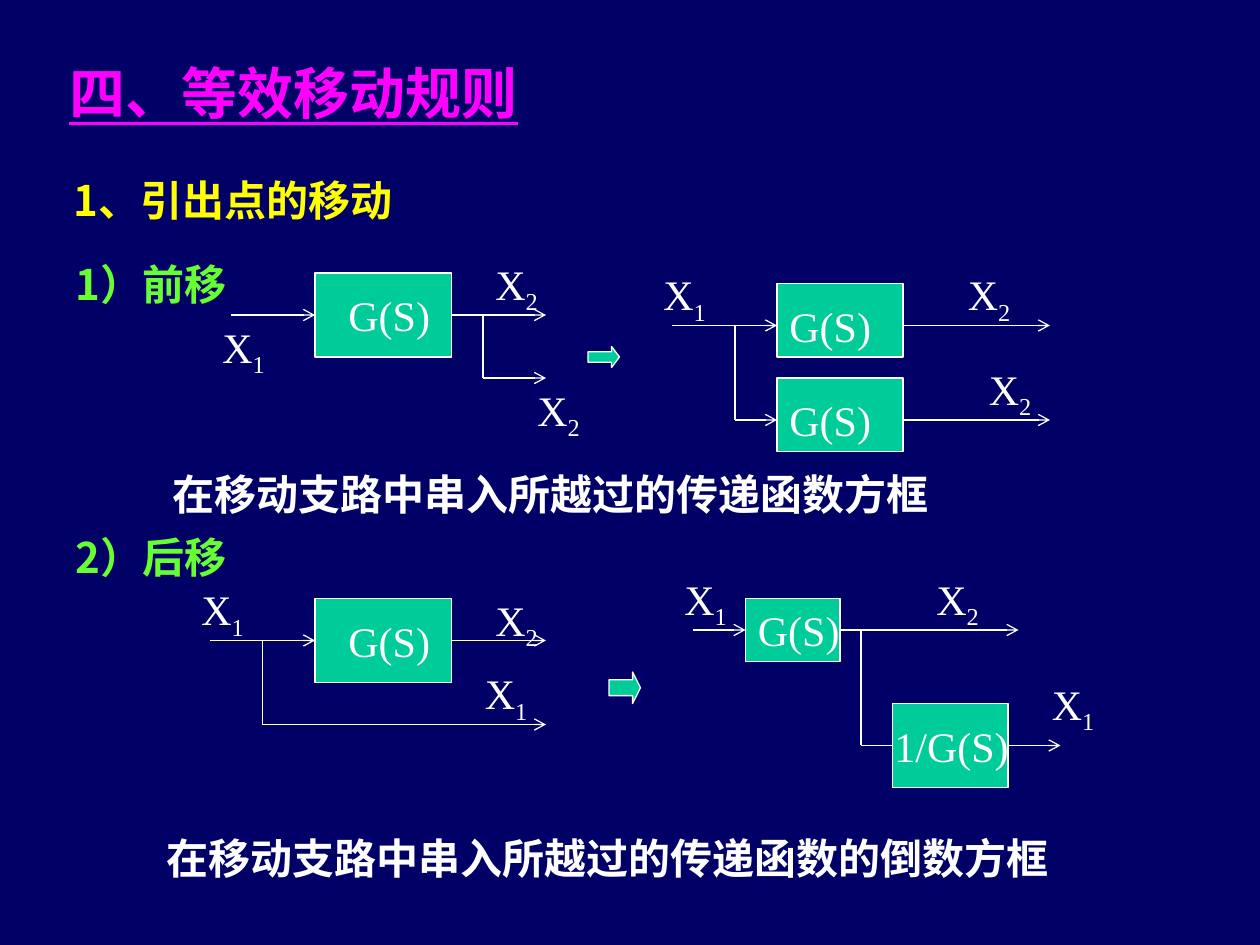
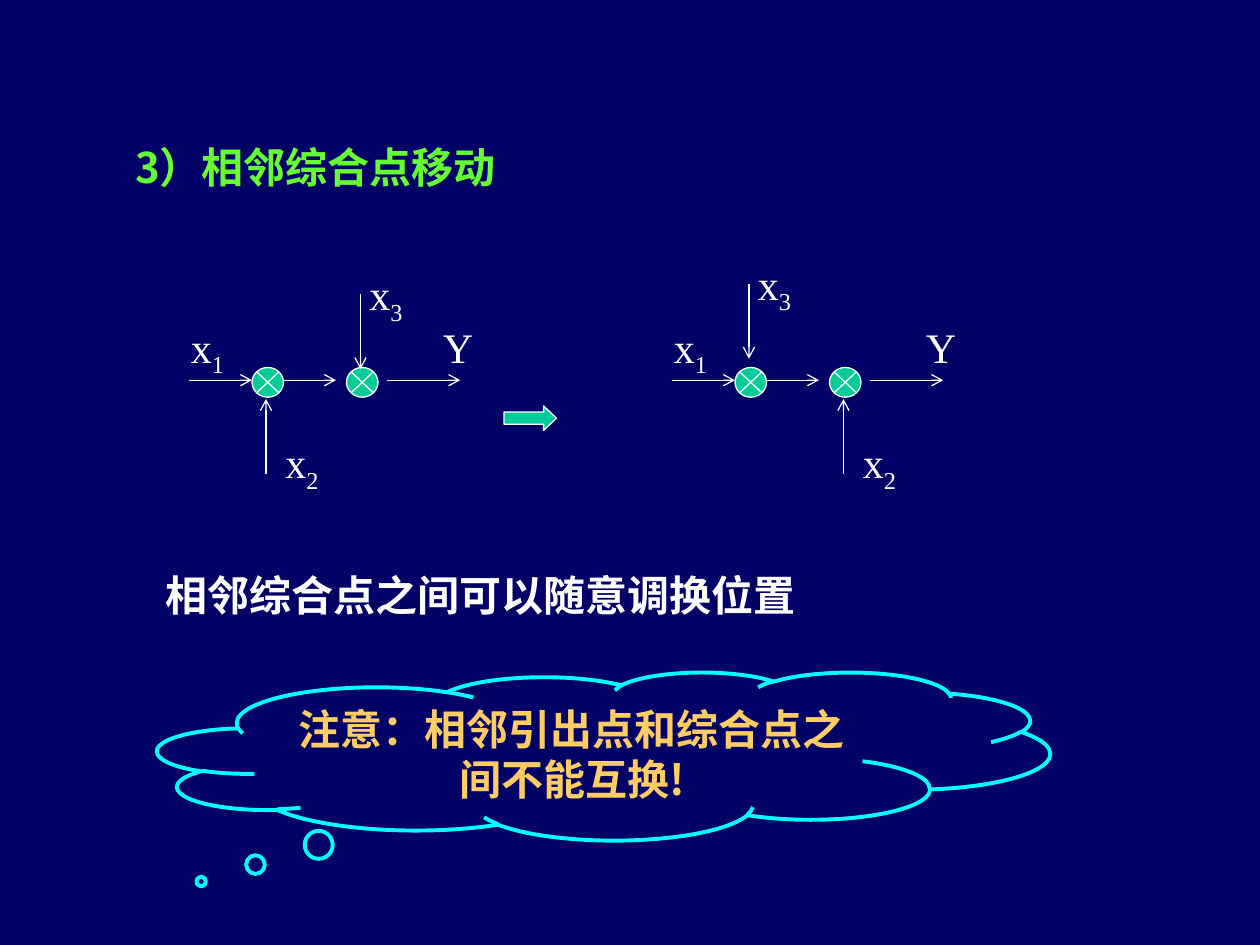
import pptx
import pptx.util
import pptx.dml.color
import pptx.enum.shapes
import pptx.enum.text
import pptx.oxml.ns
import lxml.etree
from dataclasses import dataclass

Pt = pptx.util.Pt
SHAPE = pptx.enum.shapes.MSO_SHAPE


@dataclass(frozen=True)
class Theme:
    background: str = "000066"
    title: str = "FF00FF"
    section: str = "FFFF00"
    step: str = "66FF33"
    ink: str = "FFFFFF"
    block: str = "00CC99"
    cloud: str = "00FFFF"
    warning: str = "FFCC66"
    serif: str = "Times New Roman"
    sans: str = "Noto Sans CJK SC"
    title_size: int = 32
    text_size: int = 24
    line: float = 0.75
    cloud_line: float = 2.25


THEME = Theme()

MOVING_TITLE = ("四、等效移动规则", (32.5, 30, 384, 46))
SECTION = ("1、引出点的移动", (35, 96, 444, 36))
STEPS = [("1）前移", (36, 144, 126, 36)), ("2）后移", (36, 300, 126, 36))]
RULES = [
    ("在移动支路中串入所越过的传递函数方框", (91.5, 264, 462, 36)),
    ("在移动支路中串入所越过的传递函数的倒数方框", (88, 472, 534, 36)),
]
BLOCKS = [
    ((180, 156, 78, 48), "G(S)", (12, 6)),
    ((444, 162, 72, 42), "G(S)", (0, 6)),
    ((444, 216, 72, 42), "G(S)", (0, 6)),
    ((180, 342, 78, 48), "G(S)", (12, 6)),
    ((426, 342, 54, 36), "G(S)", (0, 0)),
    ((510, 402, 66, 48), "1/G(S)", (-6, 6)),
]
ARROW_WIRES = [
    (132, 180, 180, 180), (258, 180, 312, 180), (276, 216, 312, 216),
    (384, 186, 444, 186), (420, 240, 444, 240), (516, 186, 600, 186), (516, 240, 600, 240),
    (120, 366, 180, 366), (258, 366, 312, 366), (150, 414, 312, 414),
    (396, 360, 426, 360), (480, 360, 582, 360), (576, 426, 606, 426),
]
PLAIN_WIRES = [
    (276, 180, 276, 216), (420, 186, 420, 240), (150, 366, 150, 414),
    (492, 360, 492, 426), (492, 426, 510, 426),
]
SIGNALS = [
    ("X1", 120, 180), ("X2", 276, 144), ("X2", 300, 216),
    ("X1", 372, 150), ("X2", 546, 150), ("X2", 558, 204),
    ("X1", 108, 330), ("X2", 276, 336), ("X1", 270, 378),
    ("X1", 384, 324), ("X2", 528, 324), ("X1", 594, 384),
]
MOVING_ARROWS = [((336, 198, 18, 12), 0.374), ((348, 384, 18, 18), 0.25)]

SUMMING_TITLE = ("3）相邻综合点移动", (70, 77, 324, 36))
SUMMING_CHAINS = [
    {"start": 108, "x2_at": 0, "x3_at": 1, "x3_top": 168},
    {"start": 384, "x2_at": 1, "x3_at": 0, "x3_top": 162},
]
SUMMING_ARROW = ((288, 232, 30, 14), 0.522)
SUMMING_RULE = ("相邻综合点之间可以随意调换位置", (87.5, 322, 402, 36))
WARNING = ("注意：相邻引出点和综合点之间不能互换!", (90, 384, 510, 96), (-0.451, 0.747))


def rgb(color):
    return pptx.dml.color.RGBColor.from_string(color)


def points(values):
    return [Pt(value) for value in values]


def format_run(run, color, face=THEME.serif, size=THEME.text_size, bold=False):
    run.font.name, run.font.size, run.font.bold = face, Pt(size), bold
    run.font.color.rgb = rgb(color)
    east_asian = lxml.etree.SubElement(run._r.get_or_add_rPr(), pptx.oxml.ns.qn("a:ea"))
    east_asian.set("typeface", THEME.sans)


def add_text(slide, text, box, color, **style):
    frame = slide.shapes.add_textbox(*points(box)).text_frame
    frame.word_wrap = True
    frame.text = text
    format_run(frame.paragraphs[0].runs[0], color, **style)
    return frame


def add_signal(slide, signal, x, y):
    paragraph = add_text(slide, signal[0], (x, y, 48, 40), THEME.ink).paragraphs[0]
    if signal[1:]:
        index = paragraph.add_run()
        index.text = signal[1:]
        format_run(index, THEME.ink)
        index._r.get_or_add_rPr().set("baseline", "-25000")


def add_solid(slide, kind, box):
    solid = slide.shapes.add_shape(kind, *points(box))
    solid.shadow.inherit = False
    solid.fill.solid()
    solid.fill.fore_color.rgb = rgb(THEME.block)
    solid.line.color.rgb = rgb(THEME.ink)
    solid.line.width = Pt(THEME.line)
    return solid


def add_block_arrow(slide, box, head):
    arrow = add_solid(slide, SHAPE.RIGHT_ARROW, box)
    arrow.adjustments[1] = head


def add_wire(slide, ends, arrow=True, sites={}):
    wire = slide.shapes.add_connector(pptx.enum.shapes.MSO_CONNECTOR.STRAIGHT, *points(ends))
    wire.line.color.rgb = rgb(THEME.ink)
    wire.line.width = Pt(THEME.line)
    lxml.etree.SubElement(wire._element.spPr, pptx.oxml.ns.qn("a:effectLst"))
    if arrow:
        tip = lxml.etree.SubElement(wire.line._get_or_add_ln(), pptx.oxml.ns.qn("a:tailEnd"))
        tip.set("type", "arrow")
    if ends[:2] in sites:
        wire.begin_connect(*sites[ends[:2]])
    if ends[2:] in sites:
        wire.end_connect(*sites[ends[2:]])


def side_middles(block, box):
    x, y, w, h = box
    middles = [(x + w / 2, y), (x, y + h / 2), (x + w / 2, y + h), (x + w, y + h / 2)]
    return {middle: (block, side) for side, middle in enumerate(middles)}


def add_slide(deck, title, color, **style):
    slide = deck.slides.add_slide(deck.slide_layouts.get_by_name("Title Only"))
    heading = slide.shapes.title
    heading.left, heading.top, heading.width, heading.height = points(title[1])
    frame = heading.text_frame
    frame.text = title[0]
    frame.auto_size = pptx.enum.text.MSO_AUTO_SIZE.NONE
    frame.vertical_anchor = pptx.enum.text.MSO_ANCHOR.TOP
    frame.paragraphs[0].alignment = pptx.enum.text.PP_ALIGN.LEFT
    format_run(frame.paragraphs[0].runs[0], color, bold=True, **style)
    return slide


def build_moving(deck):
    slide = add_slide(deck, MOVING_TITLE, THEME.title, size=THEME.title_size)
    slide.shapes.title.text_frame.paragraphs[0].runs[0].font.underline = True
    add_text(slide, *SECTION, THEME.section, face=THEME.sans, bold=True)
    for step in STEPS:
        add_text(slide, *step, THEME.step, face=THEME.sans, bold=True)
    for rule in RULES:
        add_text(slide, *rule, THEME.ink, bold=True)
    sites = {}
    for box, function, (dx, dy) in BLOCKS:
        sites.update(side_middles(add_solid(slide, SHAPE.RECTANGLE, box), box))
        add_text(slide, function, (box[0] + dx, box[1] + dy, 96, 36), THEME.ink)
    for ends in ARROW_WIRES:
        add_wire(slide, ends, sites=sites)
    for ends in PLAIN_WIRES:
        add_wire(slide, ends, arrow=False, sites=sites)
    for signal in SIGNALS:
        add_signal(slide, *signal)
    for arrow in MOVING_ARROWS:
        add_block_arrow(slide, *arrow)


def add_chain(slide, start, x2_at, x3_at, x3_top):
    junctions = [start + 36, start + 90]
    for x in junctions:
        add_solid(slide, SHAPE.FLOWCHART_SUMMING_JUNCTION, (x, 210, 18, 17))
    for begin, end in [(0, 36), (54, 84), (113, 155)]:
        add_wire(slide, (start + begin, 217.25, start + end, 217.25))
    x2, x3 = junctions[x2_at], junctions[x3_at]
    add_wire(slide, (x2 + 8, 271, x2 + 8, 228))
    add_wire(slide, (x3 + 8, x3_top, x3 + 8, x3_top + 43))
    add_signal(slide, "x1", start - 6, 180)
    add_signal(slide, "x2", x2 + 12, 246)
    add_signal(slide, "x3", x3 + 6, x3_top - 18)
    add_signal(slide, "Y", start + 138, 180)


def add_warning(slide, text, box, tail):
    cloud = slide.shapes.add_shape(SHAPE.CLOUD_CALLOUT, *points(box))
    cloud.shadow.inherit = False
    cloud.adjustments[0], cloud.adjustments[1] = tail
    cloud.fill.background()
    cloud.line.color.rgb = rgb(THEME.cloud)
    cloud.line.width = Pt(THEME.cloud_line)
    frame = cloud.text_frame
    frame.word_wrap = True
    frame.vertical_anchor = pptx.enum.text.MSO_ANCHOR.TOP
    frame.text = text
    frame.paragraphs[0].alignment = pptx.enum.text.PP_ALIGN.CENTER
    format_run(frame.paragraphs[0].runs[0], THEME.warning, face=THEME.sans, bold=True)


def build_summing(deck):
    slide = add_slide(deck, SUMMING_TITLE, THEME.step, face=THEME.sans)
    for chain in SUMMING_CHAINS:
        add_chain(slide, **chain)
    add_block_arrow(slide, *SUMMING_ARROW)
    add_text(slide, *SUMMING_RULE, THEME.ink, bold=True)
    add_warning(slide, *WARNING)


def main():
    deck = pptx.Presentation()
    deck.slide_width, deck.slide_height = Pt(720), Pt(540)
    backdrop = deck.slide_master.background.fill
    backdrop.solid()
    backdrop.fore_color.rgb = rgb(THEME.background)
    build_moving(deck)
    build_summing(deck)
    deck.save("out.pptx")


if __name__ == "__main__":
    main()
